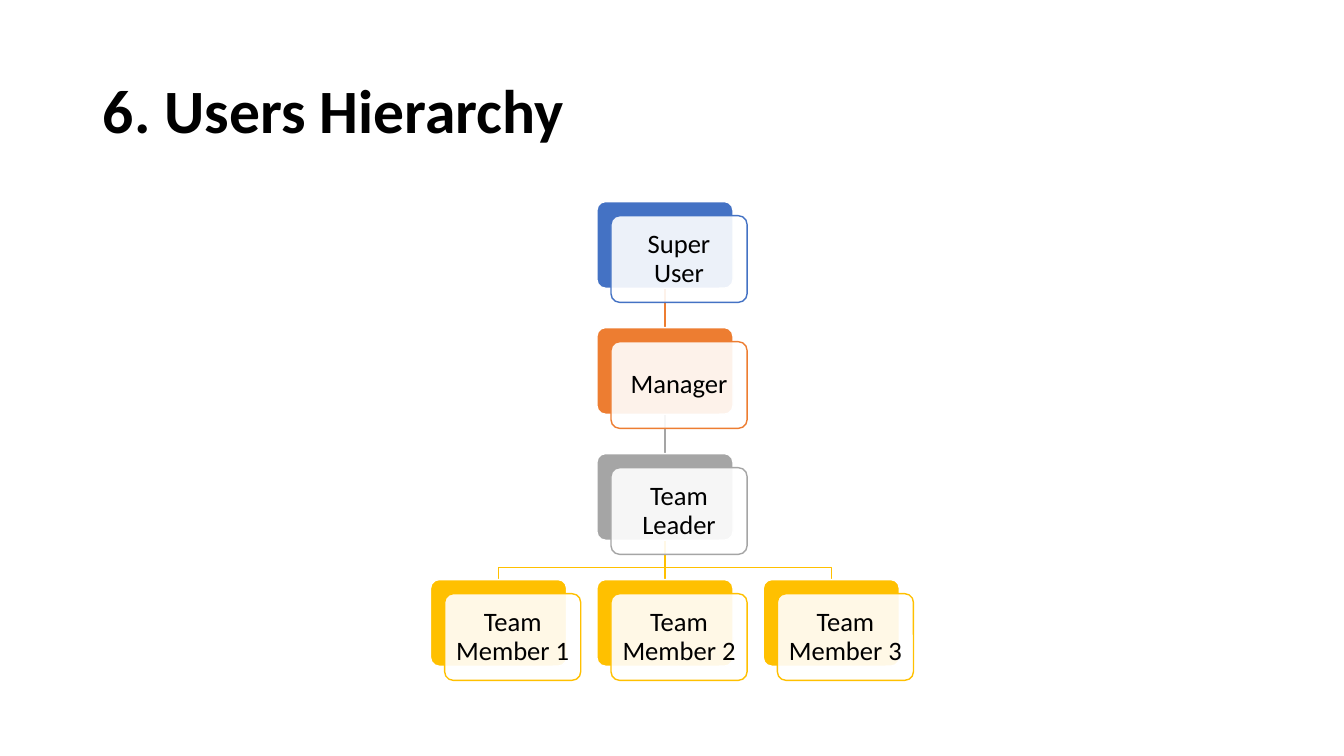
from lxml import etree
from pptx import Presentation
from pptx.dml.color import RGBColor
from pptx.enum.shapes import MSO_CONNECTOR as Connector, MSO_SHAPE as Shape
from pptx.enum.text import MSO_ANCHOR as Anchor, MSO_AUTO_SIZE as AutoSize, PP_ALIGN as Align
from pptx.oxml.ns import qn
from pptx.util import Inches, Pt

BLACK = RGBColor(0x00, 0x00, 0x00)
WHITE = RGBColor(0xFF, 0xFF, 0xFF)
BLUE = RGBColor(0x44, 0x72, 0xC4)
ORANGE = RGBColor(0xED, 0x7D, 0x31)
GRAY = RGBColor(0xA5, 0xA5, 0xA5)
GOLD = RGBColor(0xFF, 0xC0, 0x00)

CARD_WIDTH, CARD_HEIGHT = 1.35, 0.86
CARD_OFFSET = 0.14
CARD_MARGIN = 0.08
MIDDLE_LEFT, FIRST_TOP = 5.92, 2.0
COLUMN_STEP, ROW_STEP = 1.65, 1.25
BRANCH_Y = 5.63

# Name, column relative to the middle, row, colour
ROLES = [
    ("Super User", 0, 0, BLUE),
    ("Manager", 0, 1, ORANGE),
    ("Team Leader", 0, 2, GRAY),
    ("Team Member 1", -1, 3, GOLD),
    ("Team Member 2", 0, 3, GOLD),
    ("Team Member 3", 1, 3, GOLD),
]


def add_text(frame, text, size, align, bold=False):
    frame.word_wrap = True
    frame.auto_size = AutoSize.NONE
    frame.vertical_anchor = Anchor.MIDDLE
    para = frame.paragraphs[0]
    para.alignment = align
    para.line_spacing = 0.9
    span = para.add_run()
    span.text = text
    span.font.name = "Calibri"
    span.font.size = Pt(size)
    span.font.bold = bold
    span.font.color.rgb = BLACK


def add_card(left, top, fill_color, line_color):
    card = slide.shapes.add_shape(
        Shape.ROUNDED_RECTANGLE,
        Inches(left), Inches(top), Inches(CARD_WIDTH), Inches(CARD_HEIGHT))
    card.adjustments[0] = 0.1
    card.shadow.inherit = False
    card.fill.solid()
    card.fill.fore_color.rgb = fill_color
    card.line.color.rgb = line_color
    card.line.width = Pt(1)
    return card


deck = Presentation()
deck.slide_width, deck.slide_height = Inches(13.33), Inches(7.5)
slide = deck.slides.add_slide(deck.slide_layouts[5])

title = slide.shapes.title
title.left, title.top = Inches(0.92), Inches(0.4)
title.width, title.height = Inches(11.5), Inches(1.45)
add_text(title.text_frame, "6. Users Hierarchy", 44, Align.LEFT, bold=True)

# Lines come first so that they lie behind the cards
center_x = MIDDLE_LEFT + CARD_WIDTH / 2
leader_bottom = FIRST_TOP + 2 * ROW_STEP + CARD_HEIGHT
member_top = FIRST_TOP + 3 * ROW_STEP
for side in (1, -1):
    member_x = center_x + side * COLUMN_STEP
    builder = slide.shapes.build_freeform(Inches(center_x), Inches(leader_bottom))
    builder.add_line_segments(
        [(Inches(x), Inches(y)) for x, y in
         ((center_x, BRANCH_Y), (member_x, BRANCH_Y), (member_x, member_top))],
        close=False)
    branch = builder.convert_to_shape()
    branch.shadow.inherit = False
    branch.fill.background()
    branch.line.color.rgb = GOLD
    branch.line.width = Pt(1)

stem_colors = [ORANGE, GRAY, GOLD]
stems = []
for row, color in enumerate(stem_colors):
    top = FIRST_TOP + row * ROW_STEP
    stem = slide.shapes.add_connector(
        Connector.STRAIGHT, Inches(center_x), Inches(top + CARD_HEIGHT),
        Inches(center_x), Inches(top + ROW_STEP))
    stem.line.color.rgb = color
    stem.line.width = Pt(1)
    etree.SubElement(stem._element.spPr, qn("a:effectLst"))
    stems.append(stem)

middle_cards = []
for name, column, row, color in ROLES:
    left = MIDDLE_LEFT + column * COLUMN_STEP
    top = FIRST_TOP + row * ROW_STEP
    back = add_card(left, top, color, WHITE)
    front = add_card(left + CARD_OFFSET, top + CARD_OFFSET, WHITE, color)
    fill_color = front._element.spPr.find(qn("a:solidFill"))[0]
    etree.SubElement(fill_color, qn("a:alpha")).set("val", "90000")
    frame = front.text_frame
    frame.margin_left = frame.margin_right = Inches(CARD_MARGIN)
    frame.margin_top = frame.margin_bottom = Inches(CARD_MARGIN)
    add_text(frame, name, 19, Align.CENTER)
    if column == 0:
        middle_cards.append(back)

for stem, upper, lower in zip(stems, middle_cards, middle_cards[1:]):
    stem.begin_connect(upper, 2)
    stem.end_connect(lower, 0)

deck.save("out.pptx")
